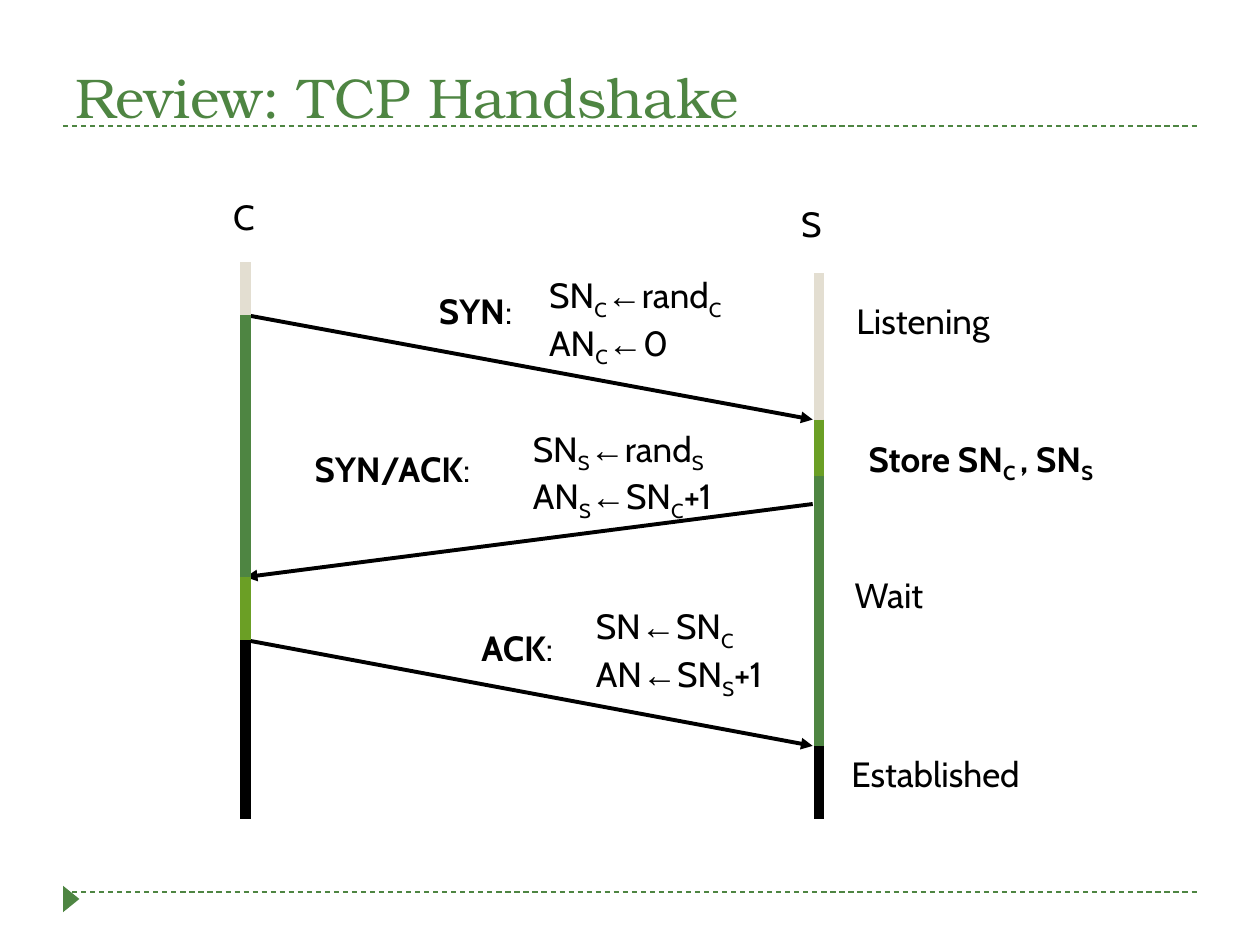
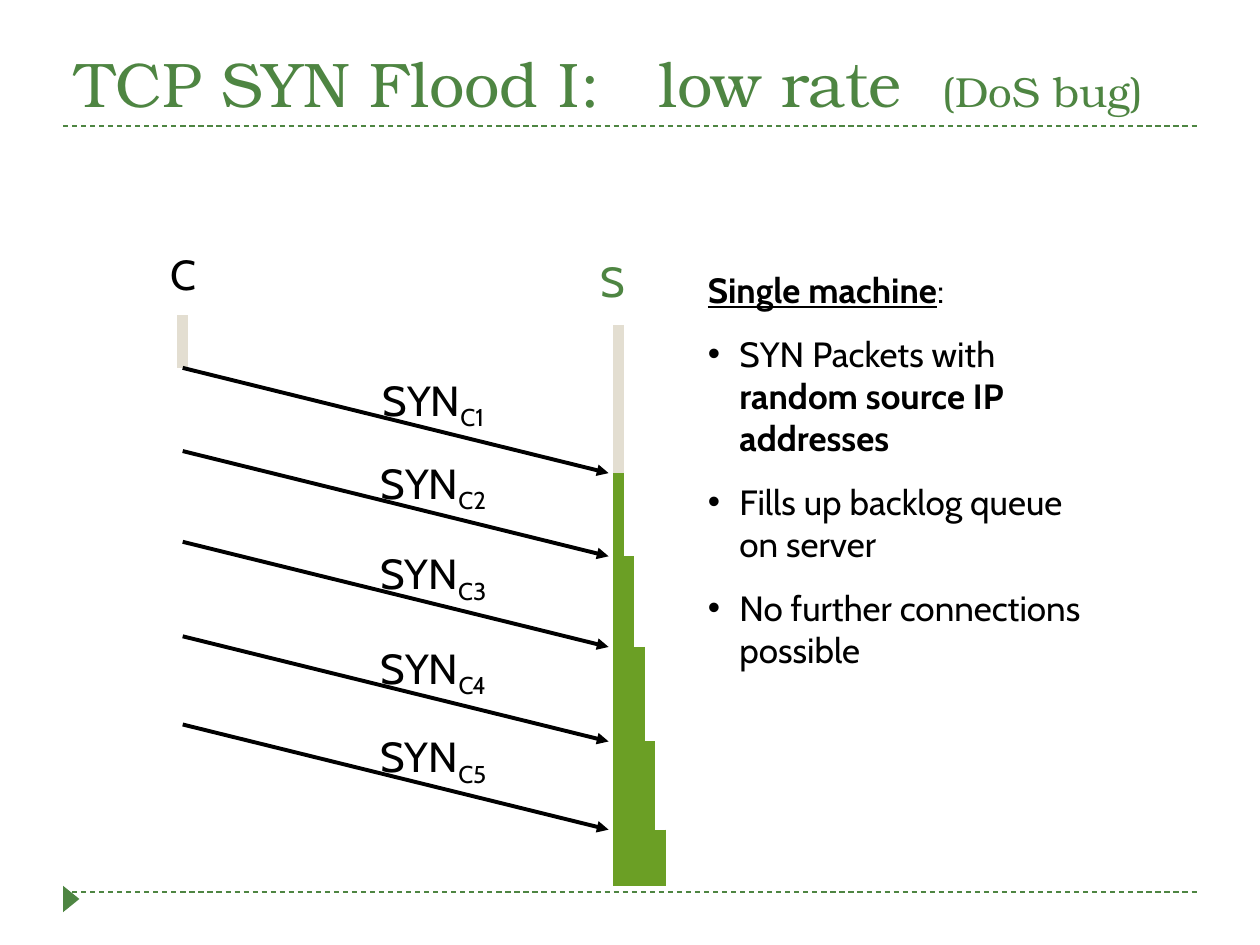
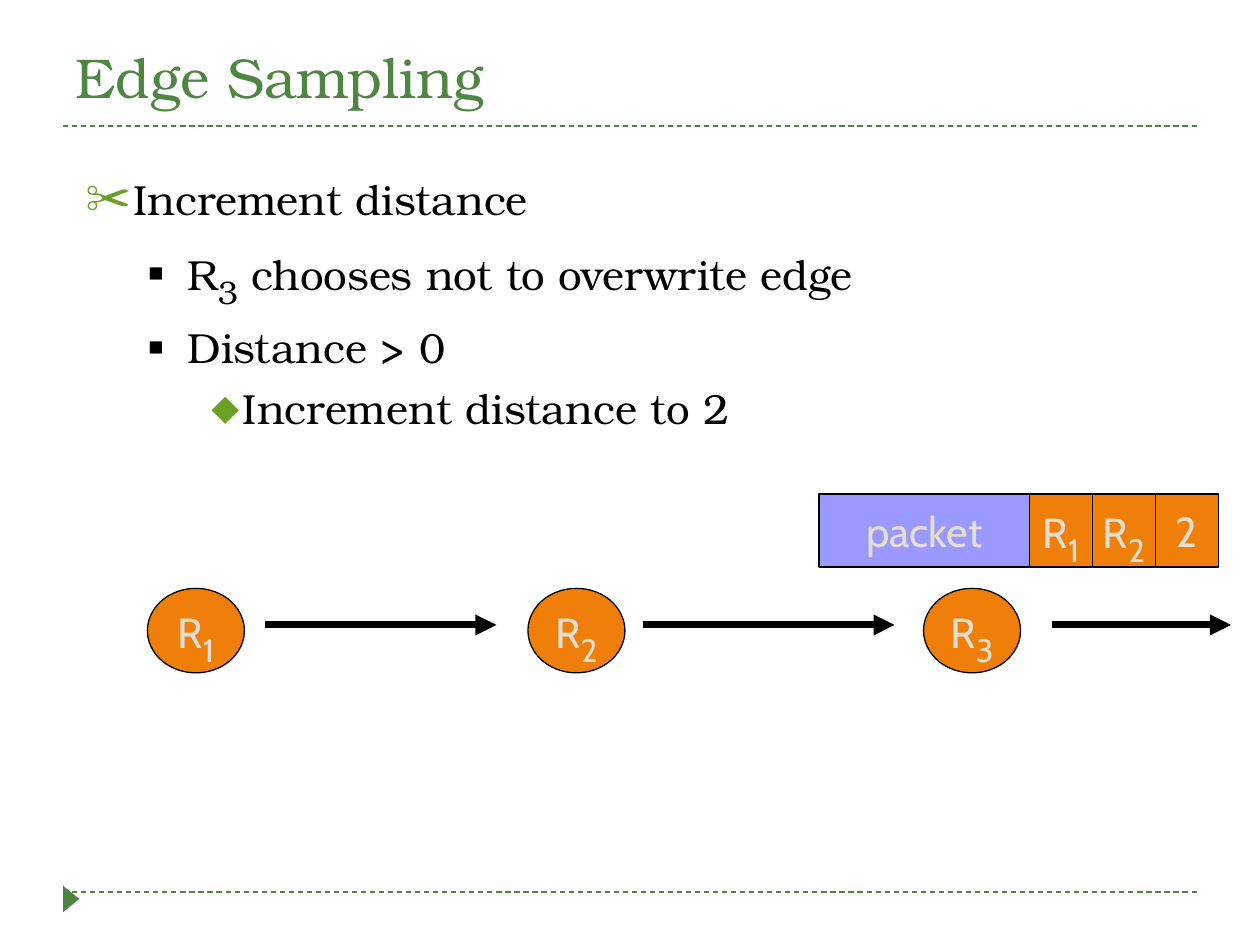
from lxml import etree
from pptx import Presentation
from pptx.dml.color import RGBColor
from pptx.enum.dml import MSO_LINE
from pptx.enum.shapes import MSO_CONNECTOR, MSO_SHAPE
from pptx.enum.text import MSO_ANCHOR, MSO_AUTO_SIZE, PP_ALIGN
from pptx.oxml.ns import qn
from pptx.util import Inches, Pt

GREEN = RGBColor(0x4E, 0x85, 0x42)
LIME = RGBColor(0x6B, 0x9F, 0x25)
BEIGE = RGBColor(0xE3, 0xDE, 0xD1)
ORANGE = RGBColor(0xF0, 0x7F, 0x09)
LAVENDER = RGBColor(0x99, 0x99, 0xFF)
BLACK = RGBColor(0, 0, 0)

BODY_FONT = "Cabin"
TITLE_FONT = "TeX Gyre Bonum"
SYMBOL_FONT = "Arial"

LEFT, CENTER = PP_ALIGN.LEFT, PP_ALIGN.CENTER
BOTTOM, MIDDLE = MSO_ANCHOR.BOTTOM, MSO_ANCHOR.MIDDLE
FIXED, GROW = MSO_AUTO_SIZE.NONE, MSO_AUTO_SIZE.SHAPE_TO_FIT_TEXT
RECTANGLE, OVAL = MSO_SHAPE.RECTANGLE, MSO_SHAPE.OVAL
TRIANGLE = MSO_SHAPE.ISOSCELES_TRIANGLE
STRAIGHT = MSO_CONNECTOR.STRAIGHT
DASH = MSO_LINE.DASH
TITLE_ONLY = 5
BREAK = "\v"


# Run markers: a run is plain text or a (text, format) pair
def sub(text, **formats):
    return text, {"subscript": True, **formats}


def bold(text, **formats):
    return text, {"bold": True, **formats}


ARROW = ("←", {"font": SYMBOL_FONT})


def add_run(paragraph, text, font=BODY_FONT, size=20, color=BLACK,
            bold=None, underline=None, subscript=False):
    run = paragraph.add_run()
    run.text = text
    run.font.name = font
    run.font.size = Pt(size)
    run.font.color.rgb = color
    run.font.bold = bold
    run.font.underline = underline
    if subscript:
        run.font._element.set("baseline", "-25000")


def write(paragraph, runs, align=LEFT, space_before=None, **formats):
    """Fill a paragraph from a string or a list of runs."""
    paragraph.alignment = align
    if space_before:
        paragraph.space_before = Pt(space_before)
    for run in [runs] if isinstance(runs, str) else runs:
        text, own = (run, {}) if isinstance(run, str) else run
        if text == BREAK:
            paragraph.add_line_break()
        else:
            add_run(paragraph, text, **{**formats, **own})


def add_bullet(paragraph, character, color, percent=100, margin=0.25,
               hanging=0.25, level=0):
    paragraph.level = level
    properties = paragraph._p.get_or_add_pPr()
    properties.set("marL", str(Inches(margin)))
    properties.set("indent", str(-Inches(hanging)))
    fill = etree.SubElement(properties, qn("a:buClr"))
    etree.SubElement(fill, qn("a:srgbClr"), val=str(color))
    etree.SubElement(properties, qn("a:buSzPct"), val=str(percent * 1000))
    etree.SubElement(properties, qn("a:buFont"), typeface=SYMBOL_FONT)
    etree.SubElement(properties, qn("a:buChar"), char=character)


def add_tabs(paragraph, stops):
    tabs = etree.SubElement(paragraph._p.get_or_add_pPr(), qn("a:tabLst"))
    for stop in stops:
        etree.SubElement(tabs, qn("a:tab"), pos=str(Inches(stop)), algn="l")


class Deck:
    def __init__(self):
        self.presentation = Presentation()
        self.presentation.slide_width = Inches(10)
        self.presentation.slide_height = Inches(7.5)
        self.slide = None

    def start_slide(self, title, top=0.08, width=9, height=1, size=32, tabs=()):
        layout = self.presentation.slide_layouts[TITLE_ONLY]
        self.slide = self.presentation.slides.add_slide(layout)
        # Frame shared by all slides
        for y in (7.08, 1):
            self.line(0.5, y, 9.5, y, GREEN, 0.75, dash=DASH)
        marker = self.shape(TRIANGLE, 0.46, 7.07, 0.21, 0.13, GREEN)
        marker.rotation = 90
        # Title
        placeholder = self.slide.shapes.title
        placeholder.left, placeholder.top = Inches(0.5), Inches(top)
        placeholder.width, placeholder.height = Inches(width), Inches(height)
        frame = placeholder.text_frame
        frame.auto_size = FIXED
        frame.vertical_anchor = BOTTOM
        if tabs:
            add_tabs(frame.paragraphs[0], tabs)
        write(frame.paragraphs[0], title, font=TITLE_FONT, size=size, color=GREEN)

    def line(self, x1, y1, x2, y2, color=BLACK, width=2.25, dash=None, arrow=False):
        connector = self.slide.shapes.add_connector(
            STRAIGHT, Inches(x1), Inches(y1), Inches(x2), Inches(y2))
        connector.line.color.rgb = color
        connector.line.width = Pt(width)
        if dash:
            connector.line.dash_style = dash
        if arrow:
            etree.SubElement(connector.line._get_or_add_ln(), qn("a:tailEnd"),
                             type="triangle")
        etree.SubElement(connector._element.spPr, qn("a:effectLst"))

    def timeline(self, x, times, colors):
        for start, end, color in zip(times, times[1:], colors):
            self.line(x, start, x, end, color, 6)

    def shape(self, kind, left, top, width, height, fill, text=None):
        shape = self.slide.shapes.add_shape(
            kind, Inches(left), Inches(top), Inches(width), Inches(height))
        shape.shadow.inherit = False
        shape.fill.solid()
        shape.fill.fore_color.rgb = fill
        if text is None:
            shape.line.fill.background()
            return shape
        shape.line.color.rgb = BLACK
        shape.line.width = Pt(0.75)
        frame = shape.text_frame
        frame.word_wrap = False
        frame.vertical_anchor = MIDDLE
        write(frame.paragraphs[0], text, align=CENTER, size=24, color=BEIGE)
        return shape

    def text_frame(self, left, top, width, height, wrap=False):
        box = self.slide.shapes.add_textbox(
            Inches(left), Inches(top), Inches(width), Inches(height))
        frame = box.text_frame
        frame.word_wrap = wrap
        frame.auto_size = FIXED if wrap else GROW
        return frame

    def label(self, left, top, width, height, *lines, **formats):
        frame = self.text_frame(left, top, width, height)
        for index, runs in enumerate(lines):
            paragraph = frame.add_paragraph() if index else frame.paragraphs[0]
            write(paragraph, runs, **formats)


def build_handshake(deck):
    deck.start_slide("Review: TCP Handshake")
    client, server = 1.95, 6.5

    # Messages
    for x1, y1, x2, y2 in ((client, 2.5, 6.45, 3.33),
                           (client, 5.08, 6.45, 5.92),
                           (6.45, 4, client, 4.58)):
        deck.line(x1, y1, x2, y2, arrow=True)

    # Connection states over time
    deck.timeline(client, (2.08, 2.5, 4.58, 5.08, 6.5), (BEIGE, GREEN, LIME, BLACK))
    deck.timeline(server, (2.17, 3.33, 3.78, 5.92, 6.5), (BEIGE, LIME, GREEN, BLACK))

    # Names of hosts, messages and states
    for left, top, width, text in (
            (1.75, 1.5, 0.37, "C"),
            (6.26, 1.56, 0.35, "S"),
            (3.36, 2.25, 0.83, [bold("SYN"), ":"]),
            (2.37, 3.5, 1.49, [bold("SYN/ACK"), ":"]),
            (3.69, 4.92, 0.83, [bold("ACK"), ":"]),
            (6.63, 2.33, 1.39, "Listening"),
            (6.66, 4.5, 0.79, "Wait"),
            (6.58, 5.92, 1.69, "Established")):
        deck.label(left, top, width, 0.44, text, align=CENTER)
    deck.label(6.71, 3.42, 2.15, 0.48, ["Store SN", sub("C "), ", SN", sub("S")],
               align=CENTER, bold=True)

    # Sequence and acknowledgement numbers
    deck.label(4.26, 2.12, 1.61, 0.86,
               ["SN", sub("C"), ARROW, "rand", sub("C")],
               ["AN", sub("C"), ARROW, "0"])
    deck.label(4.13, 3.34, 1.69, 0.86,
               ["SN", sub("S"), ARROW, "rand", sub("S")],
               ["AN", sub("S"), ARROW, "SN", sub("C"), "+1"])
    deck.label(4.63, 4.75, 1.58, 0.86,
               ["SN", ARROW, "SN", sub("C")],
               ["AN", ARROW, "SN", sub("S"), "+1"])


def build_syn_flood(deck):
    deck.start_slide(["TCP SYN Flood I:\tlow rate\t", ("(DoS bug)", {"size": 24})],
                     width=9.25, height=0.92, size=36, tabs=(4.63, 6.88))
    client, server = 1.45, 4.91
    travel, bar_width, floor = 0.835, 0.083, 7.03

    # Hosts
    deck.label(1.25, 1.92, 0.41, 0.5, "C", align=CENTER, size=24)
    deck.label(4.67, 1.98, 0.38, 0.5, "S", align=CENTER, size=24, color=GREEN)
    deck.line(client, 2.5, client, 2.92, BEIGE, 6)
    deck.line(server, 2.58, server, 3.75, BEIGE, 6)

    # Each SYN takes one more slot in the backlog
    for index, sent in enumerate((2.92, 3.58, 4.3, 5.05, 5.75)):
        received = sent + travel
        slot = server + index * bar_width
        deck.line(client, sent, 4.83, received, arrow=True)
        deck.line(slot, received, slot, floor, LIME, 6)
        deck.label(2.91, sent, 1.06, 0.56, ["SYN", sub(f"C{index + 1}")],
                   align=CENTER, size=24)

    # Explanation
    frame = deck.text_frame(5.52, 2.08, 3.41, 3.29, wrap=True)
    write(frame.paragraphs[0], [bold("Single machine", underline=True), ":"])
    for runs in (["SYN Packets with", BREAK, bold("random source IP"), BREAK,
                  bold("addresses")],
                 ["Fills up backlog queue", BREAK, "on server"],
                 ["No further connections", BREAK, "possible"]):
        paragraph = frame.add_paragraph()
        add_bullet(paragraph, "•", BLACK)
        write(paragraph, runs, space_before=12.5)


def build_edge_sampling(deck):
    deck.start_slide("Edge Sampling", top=-0.08)

    def router(number):
        return ["R", sub(number, size=32)]

    # Packet with its edge fields
    deck.shape(RECTANGLE, 6.5, 3.92, 1.67, 0.58, LAVENDER, "packet")
    for index, field in enumerate((router("1"), router("2"), "2")):
        deck.shape(RECTANGLE, 8.17 + index * 0.5, 3.92, 0.5, 0.58, ORANGE, field)

    # Route
    for start, end in ((2.1, 3.94), (5.1, 7.1), (8.35, 9.77)):
        deck.line(start, 4.96, end, 4.96, width=4, arrow=True)
    for number, left in (("1", 1.17), ("2", 4.19), ("3", 7.33)):
        deck.shape(OVAL, left, 4.67, 0.77, 0.67, ORANGE, router(number))

    # Steps: bullet character, colour, size, margin and hanging indent by level
    bullets = (("✂", LIME, 110, 0.38, 0.38),
               ("■", BLACK, 60, 0.81, 0.31),
               ("⬥", LIME, 95, 1.25, 0.25))
    steps = ((0, "Increment distance"),
             (1, router("3") + [" chooses not to overwrite edge"]),
             (1, "Distance > 0"),
             (2, "Increment distance to 2"))
    frame = deck.text_frame(0.58, 1.33, 8.58, 1.75, wrap=True)
    for index, (level, runs) in enumerate(steps):
        paragraph = frame.add_paragraph() if index else frame.paragraphs[0]
        add_bullet(paragraph, *bullets[level], level=level)
        write(paragraph, runs, space_before=6 if index else None,
              font=TITLE_FONT, size=24)


def main():
    deck = Deck()
    build_handshake(deck)
    build_syn_flood(deck)
    build_edge_sampling(deck)
    deck.presentation.save("out.pptx")


if __name__ == "__main__":
    main()
